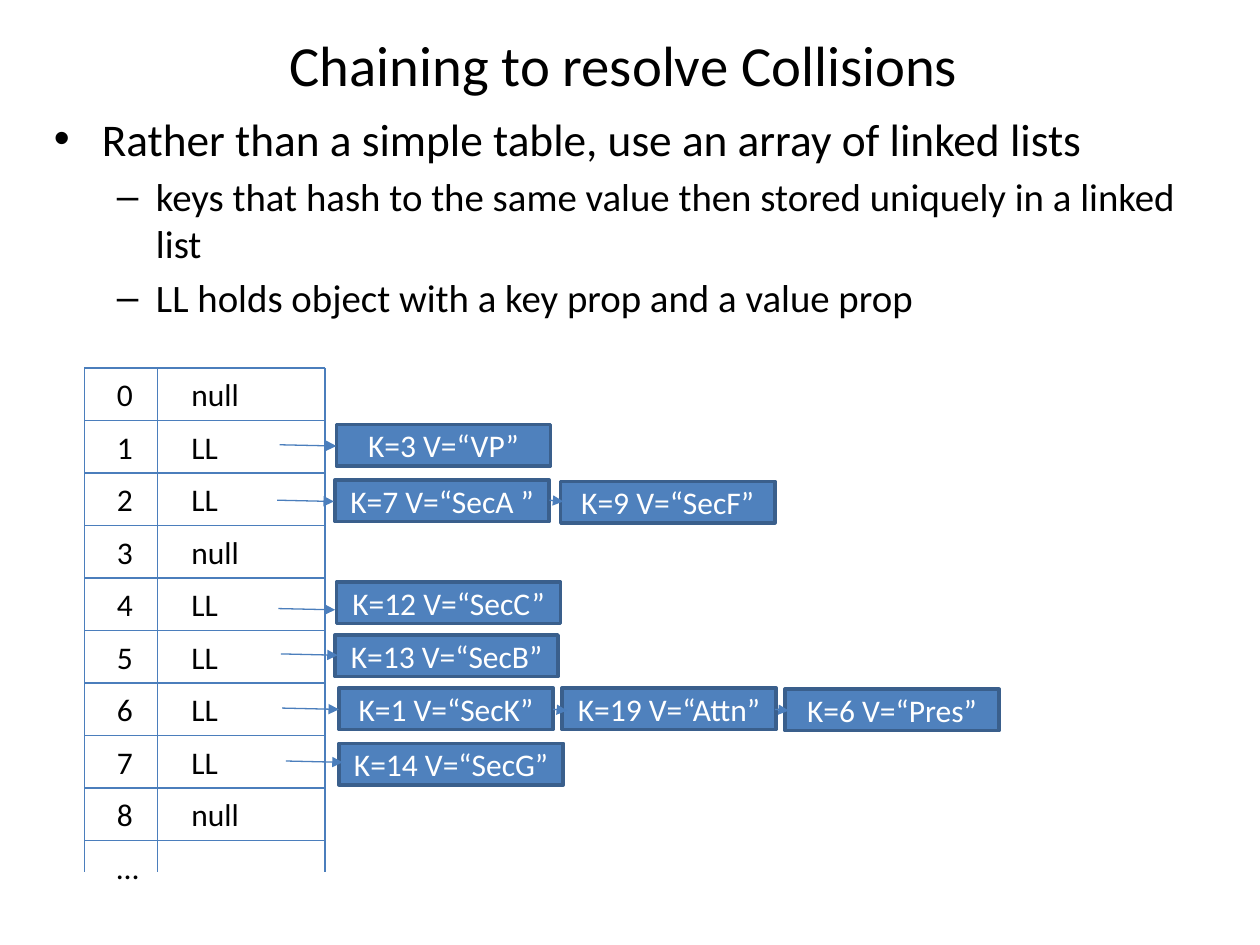
from dataclasses import dataclass

from lxml import etree
from pptx import Presentation
from pptx.dml.color import RGBColor
from pptx.enum.shapes import MSO_CONNECTOR as CONN, MSO_SHAPE as SHAPE
from pptx.enum.text import MSO_ANCHOR as ANCHOR, MSO_AUTO_SIZE as FIT, PP_ALIGN as ALIGN
from pptx.oxml.ns import qn
from pptx.util import Inches, Pt


@dataclass(frozen=True)
class Theme:
    font: str = "Calibri"
    ink: str = "000000"
    paper: str = "FFFFFF"
    fill: str = "4F81BD"
    edge: str = "3A5F8C"
    rule: str = "4B7EBC"
    title: float = 32.4
    bullet: float = 25.9
    sub: float = 22.2
    label: float = 18
    rule_width: float = 0.75
    edge_width: float = 2


def rgb(value):
    return RGBColor.from_string(value)


def write(p, text, *, font, size, color, align=None):
    p.alignment = align
    r = p.add_run()
    r.text = text
    r.font.name = font
    r.font.size = Pt(size)
    r.font.color.rgb = rgb(color)


class Deck:
    def __init__(self, theme):
        self.t = theme
        self.prs = Presentation()
        self.prs.slide_width, self.prs.slide_height = Inches(10), Inches(7.5)

    def new_slide(self):
        self.s = self.prs.slides.add_slide(self.prs.slide_layouts[5])

    def title(self, text, x, y, w, h):
        sp = self.s.shapes.title
        sp.left, sp.top, sp.width, sp.height = map(Inches, (x, y, w, h))
        tf = sp.text_frame
        tf.auto_size = FIT.NONE
        tf.vertical_anchor = ANCHOR.MIDDLE
        write(tf.paragraphs[0], text, font=self.t.font, size=self.t.title,
              color=self.t.ink, align=ALIGN.CENTER)

    def bullets(self, items, x, y, w, h):
        tf = self.s.shapes.add_textbox(*map(Inches, (x, y, w, h))).text_frame
        tf.word_wrap = True
        styles = [(self.t.bullet, 0.38, 0.38, "•"), (self.t.sub, 0.81, 0.31, "–")]
        for i, (level, text) in enumerate(items):
            size, margin, hang, mark = styles[level]
            p = tf.add_paragraph() if i else tf.paragraphs[0]
            p.level = level
            p.space_before = Pt(round(size * 0.2, 1))
            write(p, text, font=self.t.font, size=size, color=self.t.ink)
            pPr = p._p.get_or_add_pPr()
            pPr.set("marL", str(Inches(margin)))
            pPr.set("indent", str(-Inches(hang)))
            etree.SubElement(pPr, qn("a:buFont")).set("typeface", "Arial")
            etree.SubElement(pPr, qn("a:buChar")).set("char", mark)

    def label(self, text, x, y, w, h=0.4):
        tf = self.s.shapes.add_textbox(*map(Inches, (x, y, w, h))).text_frame
        tf.word_wrap = False
        tf.auto_size = FIT.SHAPE_TO_FIT_TEXT
        write(tf.paragraphs[0], text, font=self.t.font, size=self.t.label, color=self.t.ink)

    def box(self, text, x, y, w, h=0.33):
        sp = self.s.shapes.add_shape(SHAPE.RECTANGLE, *map(Inches, (x, y, w, h)))
        sp.shadow.inherit = False
        sp.fill.solid()
        sp.fill.fore_color.rgb = rgb(self.t.fill)
        sp.line.color.rgb = rgb(self.t.edge)
        sp.line.width = Pt(self.t.edge_width)
        tf = sp.text_frame
        tf.word_wrap = True
        tf.vertical_anchor = ANCHOR.MIDDLE
        write(tf.paragraphs[0], text, font=self.t.font, size=self.t.label,
              color=self.t.paper, align=ALIGN.CENTER)

    def line(self, x1, y1, x2, y2, arrow=False):
        cx = self.s.shapes.add_connector(CONN.STRAIGHT, *map(Inches, (x1, y1, x2, y2)))
        cx.line.color.rgb = rgb(self.t.rule)
        cx.line.width = Pt(self.t.rule_width)
        if arrow:
            etree.SubElement(cx.line._get_or_add_ln(), qn("a:tailEnd")).set("type", "triangle")
        etree.SubElement(cx._element.spPr, qn("a:effectLst"))


TOP, BOTTOM, PITCH = 2.92, 6.92, 5 / 12
COLUMNS = [0.67, 1.25, 2.58]
SLOTS = ["null", "LL", "LL", "null", "LL", "LL", "LL", "LL", "null"]
NODES = [
    ("K=3 V=“VP”", 2.67, 3.37, 1.7),
    ("K=7 V=“SecA ”", 2.66, 3.81, 1.7),
    ("K=12 V=“SecC”", 2.67, 4.62, 1.78),
    ("K=13 V=“SecB”", 2.66, 5.04, 1.77),
    ("K=1 V=“SecK”", 2.69, 5.46, 1.7),
    ("K=14 V=“SecG”", 2.69, 5.9, 1.78),
    ("K=19 V=“Attn”", 4.46, 5.46, 1.7),
    ("K=6 V=“Pres”", 6.23, 5.47, 1.7),
    ("K=9 V=“SecF”", 4.45, 3.82, 1.7),
]
HEAD, LINK = 0.45, 0.11
ARROWS = [
    (2.22, 3.53, HEAD), (2.2, 3.97, HEAD), (2.21, 4.83, HEAD),
    (2.23, 5.19, HEAD), (2.24, 5.62, HEAD), (2.27, 6.04, HEAD),
    (4.39, 5.63, LINK), (6.15, 5.63, LINK), (4.36, 3.97, LINK),
]

deck = Deck(Theme())
deck.new_slide()
deck.title("Chaining to resolve Collisions ", 0.5, 0.17, 9, 0.67)
deck.bullets([
    (0, "Rather than a simple table, use an array of linked lists"),
    (1, "keys that hash to the same value then stored uniquely in a linked list"),
    (1, "LL holds object with a key prop and a value prop"),
], 0.33, 0.83, 9.5, 1.42)

for x in COLUMNS:
    deck.line(x, TOP, x, BOTTOM)
for row in range(len(SLOTS) + 1):
    y = TOP + row * PITCH
    for left, right in zip(COLUMNS, COLUMNS[1:]):
        deck.line(left, y, right, y)

for row, slot in enumerate(SLOTS):
    y = TOP + 0.01 + row * PITCH
    deck.label(str(row), 0.83, y, 0.33)
    deck.label(slot, 1.42, y, 0.58 if slot == "null" else 0.42)
deck.label("…", 0.83, TOP + 0.01 + len(SLOTS) * PITCH, 0.38)

for node in NODES:
    deck.box(*node)
for x, y, length in ARROWS:
    deck.line(x, y, x + length, y + 0.01, arrow=True)

deck.prs.save("out.pptx")
